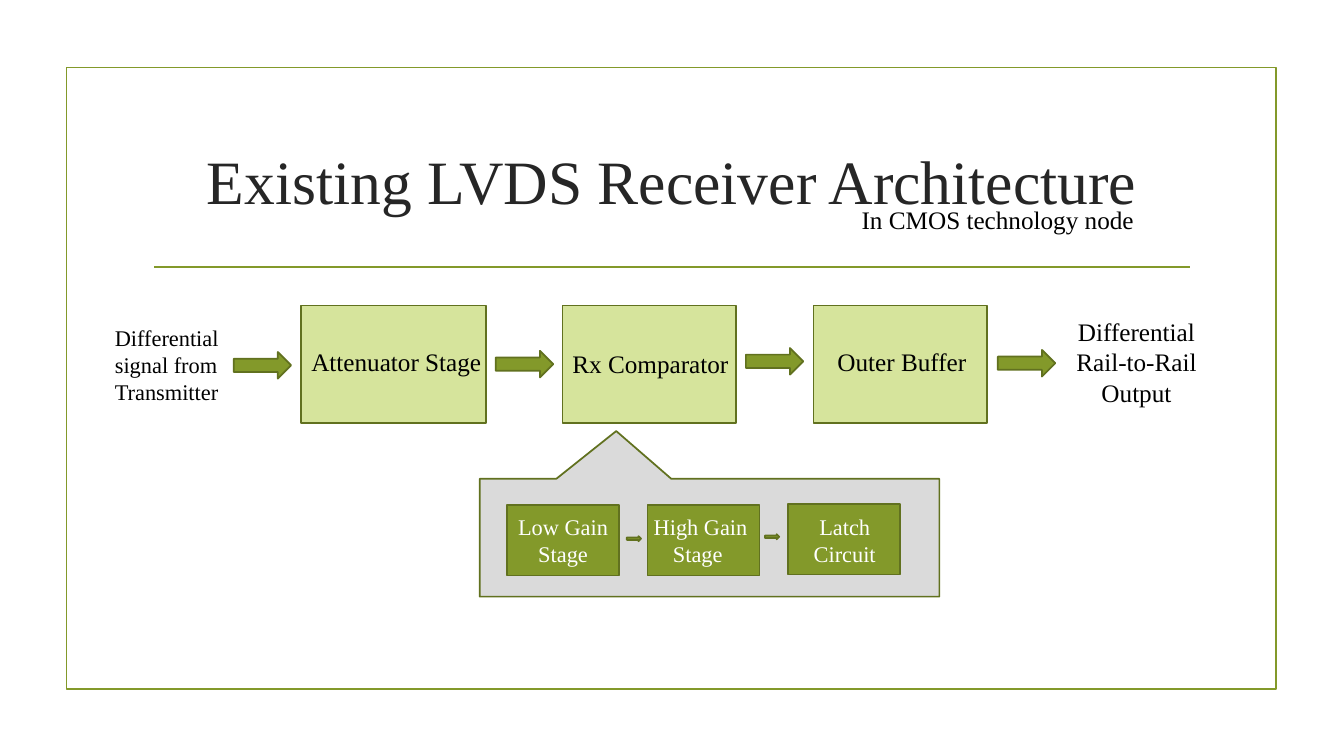
from dataclasses import dataclass

from lxml import etree
from pptx import Presentation
from pptx.dml.color import RGBColor
from pptx.enum.shapes import MSO_CONNECTOR, MSO_SHAPE
from pptx.enum.text import MSO_ANCHOR, PP_ALIGN
from pptx.oxml.ns import qn
from pptx.util import Pt

RECT = MSO_SHAPE.RECTANGLE
ARROW = MSO_SHAPE.RIGHT_ARROW
CALLOUT = MSO_SHAPE.RECTANGULAR_CALLOUT
STRAIGHT = MSO_CONNECTOR.STRAIGHT
LEFT, CENTER = PP_ALIGN.LEFT, PP_ALIGN.CENTER
TOP, MIDDLE = MSO_ANCHOR.TOP, MSO_ANCHOR.MIDDLE


@dataclass(frozen=True)
class Theme:
    """Colours, font and type sizes of the slide."""
    font: str = "Times New Roman"
    green: str = "83992A"
    dark_green: str = "61711F"
    pale_green: str = "D6E49C"
    grey: str = "DADADA"
    ink: str = "262626"
    black: str = "000000"
    white: str = "FFFFFF"
    title: int = 44
    body: int = 18
    small: int = 16
    line: float = 1.25


THEME = Theme()


def rgb(value):
    """Turn a hex string into a colour."""
    return RGBColor.from_string(value)


def write(sp, text, size, color, align=LEFT, anchor=TOP):
    """Set and format the text of a shape."""
    tf = sp.text_frame
    tf.word_wrap = True
    tf.vertical_anchor = anchor
    tf.text = text
    for p in tf.paragraphs:
        p.alignment = align
        for r in p.runs:
            r.font.name = THEME.font
            r.font.size = Pt(size)
            r.font.color.rgb = rgb(color)


def add_label(s, box, text, size=THEME.body, color=THEME.black, align=LEFT, anchor=TOP):
    """Add a wrapped text box."""
    sp = s.shapes.add_textbox(*map(Pt, box))
    write(sp, text, size, color, align, anchor)


def add_box(s, kind, box, fill=None, line=THEME.dark_green):
    """Add an outlined preset shape, unfilled when no fill is given."""
    sp = s.shapes.add_shape(kind, *map(Pt, box))
    sp.shadow.inherit = False
    if fill:
        sp.fill.solid()
        sp.fill.fore_color.rgb = rgb(fill)
    else:
        sp.fill.background()
    sp.line.color.rgb = rgb(line)
    sp.line.width = Pt(THEME.line)
    return sp


def add_rule(s, x1, x2, y):
    """Add a horizontal green rule."""
    sp = s.shapes.add_connector(STRAIGHT, Pt(x1), Pt(y), Pt(x2), Pt(y))
    sp.line.color.rgb = rgb(THEME.green)
    sp.line.width = Pt(THEME.line)
    etree.SubElement(sp._element.spPr, qn("a:effectLst"))


def add_header(s):
    """Add the frame, title, rule and subtitle."""
    add_box(s, RECT, (47.5, 48.2, 864, 444.2), line=THEME.green)
    add_rule(s, 110.2, 850.3, 190.8)
    add_label(s, (102.2, 77, 756, 103), "Existing LVDS Receiver Architecture",
              THEME.title, THEME.ink, CENTER, MIDDLE)
    add_label(s, (608.4, 142.6, 220.3, 28.8), "In CMOS technology node")


def add_signal_chain(s):
    """Add the three main stages with their arrows, input and output."""
    stages = (
        ("Attenuator Stage", 215.3, 131.8, 215.3, 244),
        ("Rx Comparator", 401.8, 123.8, 401.8, 245),
        ("Outer Buffer", 581, 123.8, 591.1, 244),
    )
    for text, x, width, text_x, text_y in stages:
        add_box(s, RECT, (x, 218.2, width, 84.2), THEME.pale_green)
        add_label(s, (text_x, text_y, 141.8, 28.8), text)
    for x, y in ((167, 251.5), (354.2, 250.6), (532.8, 248.6), (712.8, 250)):
        add_box(s, ARROW, (x, y, 41, 19), THEME.green)
    add_label(s, (75, 228.2, 113, 65.5), "Differential signal from Transmitter", THEME.small)
    add_label(s, (753.1, 222.5, 117.4, 72.7), "Differential Rail-to-Rail Output", align=CENTER)


def add_comparator_detail(s):
    """Add the callout that opens up the comparator."""
    callout = add_box(s, CALLOUT, (342.7, 342, 328.3, 84.2), THEME.grey)
    callout.adjustments[0] = -0.203
    callout.adjustments[1] = -0.905
    low, high, latch = (
        add_box(s, RECT, (362.2 + 100.4 * i, y, 80, 50.4), THEME.green)
        for i, y in enumerate((360.7, 360.7, 360))
    )
    write(low, "Low Gain Stage", THEME.small, THEME.white, CENTER, MIDDLE)
    for x, text in ((457.9, "High Gain Stage "), (560.9, "Latch\nCircuit")):
        add_label(s, (x, 362.9, 85, 46), text, THEME.small, THEME.white, CENTER)
    for x, y in ((447.8, 383), (546.5, 381.6)):
        add_box(s, ARROW, (x, y, 10.1, 3.6), THEME.green)


def main():
    """Build the slide and save it."""
    prs = Presentation()
    prs.slide_width, prs.slide_height = Pt(960), Pt(540)
    s = prs.slides.add_slide(prs.slide_layouts[6])
    add_header(s)
    add_signal_chain(s)
    add_comparator_detail(s)
    prs.save("out.pptx")


if __name__ == "__main__":
    main()
